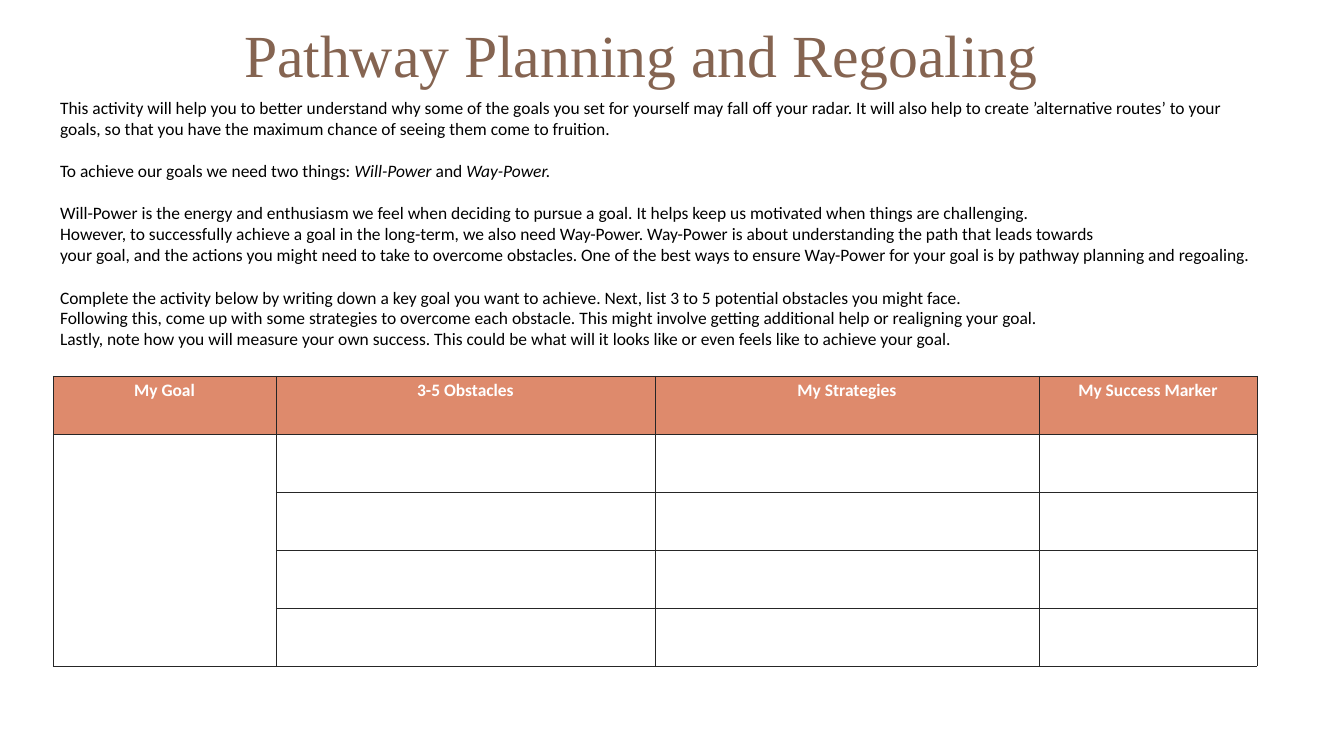
"""Build the Pathway Planning and Regoaling worksheet slide."""
from dataclasses import dataclass

from lxml import etree
from pptx import Presentation
from pptx.dml.color import RGBColor
from pptx.enum.text import MSO_ANCHOR, PP_ALIGN
from pptx.oxml.ns import qn
from pptx.util import Pt

EMU_PER_PIXEL = 13100
MIDDLE, TOP = MSO_ANCHOR.MIDDLE, MSO_ANCHOR.TOP
LEFT, CENTER = PP_ALIGN.LEFT, PP_ALIGN.CENTER
BODY_FONT, TITLE_FONT = "Calibri", "Times New Roman"
BODY_SIZE, TITLE_SIZE = 18, 61.6
SECTION_GAP = 22
BORDER_WIDTH = 0.5
COLORS = {
    "title": "856451",
    "body": "000000",
    "header": "DE8A6C",
    "header_text": "FFFFFF",
    "cell": "FFFFFF",
    "border": "262626",
}


@dataclass(frozen=True)
class Span:
    text: str
    italic: bool = False


@dataclass(frozen=True)
class Para:
    spans: tuple[Span, ...]
    starts_section: bool = False


@dataclass(frozen=True)
class Column:
    heading: str
    width: int


@dataclass(frozen=True)
class TextBox:
    left: int
    top: int
    width: int
    height: int
    paras: tuple[Para, ...]
    font: str
    size: float
    color: str
    anchor: MSO_ANCHOR = TOP
    margins: tuple[int, int] = (7, 3)
    line_spacing: float = 1.0


def plain(text: str, starts_section: bool = False) -> Para:
    """Return a paragraph with a single upright span."""
    return Para((Span(text),), starts_section)


TITLE = TextBox(226, -3, 893, 122, (plain("Pathway Planning and Regoaling"),),
                TITLE_FONT, TITLE_SIZE, "title", MIDDLE, (18, 9), 0.9)
INSTRUCTIONS = TextBox(53, 94, 1205, 282, (
    plain("This activity will help you to better understand why some of the goals you set for "
          "yourself may fall off your radar. It will also help to create ’alternative routes’ to "
          "your goals, so that you have the maximum chance of seeing them come to fruition."),
    Para((Span("To achieve our goals we need two things: "), Span("Will-Power ", True),
          Span("and"), Span(" Way-Power.", True)), True),
    plain("Will-Power is the energy and enthusiasm we feel when deciding to pursue a goal. "
          "It helps keep us motivated when things are challenging.", True),
    plain("However, to successfully achieve a goal in the long-term, we also need Way-Power. "
          "Way-Power is about understanding the path that leads towards"),
    plain("your goal, and the actions you might need to take to overcome obstacles. One of the "
          "best ways to ensure Way-Power for your goal is by pathway planning and regoaling."),
    plain("Complete the activity below by writing down a key goal you want to achieve. "
          "Next, list 3 to 5 potential obstacles you might face.", True),
    plain("Following this, come up with some strategies to overcome each obstacle. "
          "This might involve getting additional help or realigning your goal."),
    plain("Lastly, note how you will measure your own success. "
          "This could be what will it looks like or even feels like to achieve your goal."),
), BODY_FONT, BODY_SIZE, "body")
COLUMNS = (Column("My Goal", 223), Column("3-5 Obstacles", 379),
           Column("My Strategies", 384), Column("My Success Marker", 218))
TABLE_LEFT, TABLE_TOP = 53, 376
ROW_COUNT, ROW_HEIGHT = 5, 58


def px(pixels: int) -> int:
    """Convert pixels to EMU."""
    return pixels * EMU_PER_PIXEL


def style_font(font, name: str, size: float, color: str) -> None:
    """Set the typeface, size and colour of a font."""
    font.name = name
    font.size = Pt(size)
    font.color.rgb = RGBColor.from_string(COLORS[color])


def draw_text_box(page, item: TextBox) -> None:
    """Draw a text box with its formatted paragraphs."""
    box = page.shapes.add_textbox(px(item.left), px(item.top), px(item.width), px(item.height))
    frame = box.text_frame
    frame.word_wrap = True
    frame.vertical_anchor = item.anchor
    frame.margin_left = frame.margin_right = px(item.margins[0])
    frame.margin_top = frame.margin_bottom = px(item.margins[1])
    for index, content in enumerate(item.paras):
        para = frame.add_paragraph() if index else frame.paragraphs[0]
        para.alignment = LEFT
        para.line_spacing = item.line_spacing
        para.space_before = Pt(SECTION_GAP if content.starts_section else 0)
        for span in content.spans:
            run = para.add_run()
            run.text = span.text
            style_font(run.font, item.font, item.size, item.color)
            run.font.italic = span.italic


def style_cell(cell, fill: str) -> None:
    """Give a cell its four borders and its fill."""
    properties = cell._tc.get_or_add_tcPr()
    for side in ("a:lnL", "a:lnR", "a:lnT", "a:lnB"):
        line = etree.SubElement(properties, qn(side), w=str(Pt(BORDER_WIDTH)))
        solid = etree.SubElement(line, qn("a:solidFill"))
        etree.SubElement(solid, qn("a:srgbClr"), val=COLORS["border"])
    cell.fill.solid()
    cell.fill.fore_color.rgb = RGBColor.from_string(COLORS[fill])


def draw_planning_table(page) -> None:
    """Draw the goal table with headings and a goal cell spanning all rows."""
    width = sum(column.width for column in COLUMNS)
    table = page.shapes.add_table(ROW_COUNT, len(COLUMNS), px(TABLE_LEFT), px(TABLE_TOP),
                                  px(width), px(ROW_COUNT * ROW_HEIGHT)).table
    table.first_row = table.horz_banding = False
    for row in table.rows:
        row.height = px(ROW_HEIGHT)
    for index, column in enumerate(COLUMNS):
        table.columns[index].width = px(column.width)
        for row_index in range(ROW_COUNT):
            style_cell(table.cell(row_index, index), "cell" if row_index else "header")
        para = table.cell(0, index).text_frame.paragraphs[0]
        para.text = column.heading
        para.alignment = CENTER
        font = para.runs[0].font
        style_font(font, BODY_FONT, BODY_SIZE, "header_text")
        font.bold = True
    table.cell(1, 0).merge(table.cell(ROW_COUNT - 1, 0))


def main() -> None:
    """Create and save the deck."""
    deck = Presentation()
    deck.slide_width, deck.slide_height = px(1344), px(756)
    page = deck.slides.add_slide(deck.slide_layouts[6])
    for item in (TITLE, INSTRUCTIONS):
        draw_text_box(page, item)
    draw_planning_table(page)
    deck.save("out.pptx")


main()
